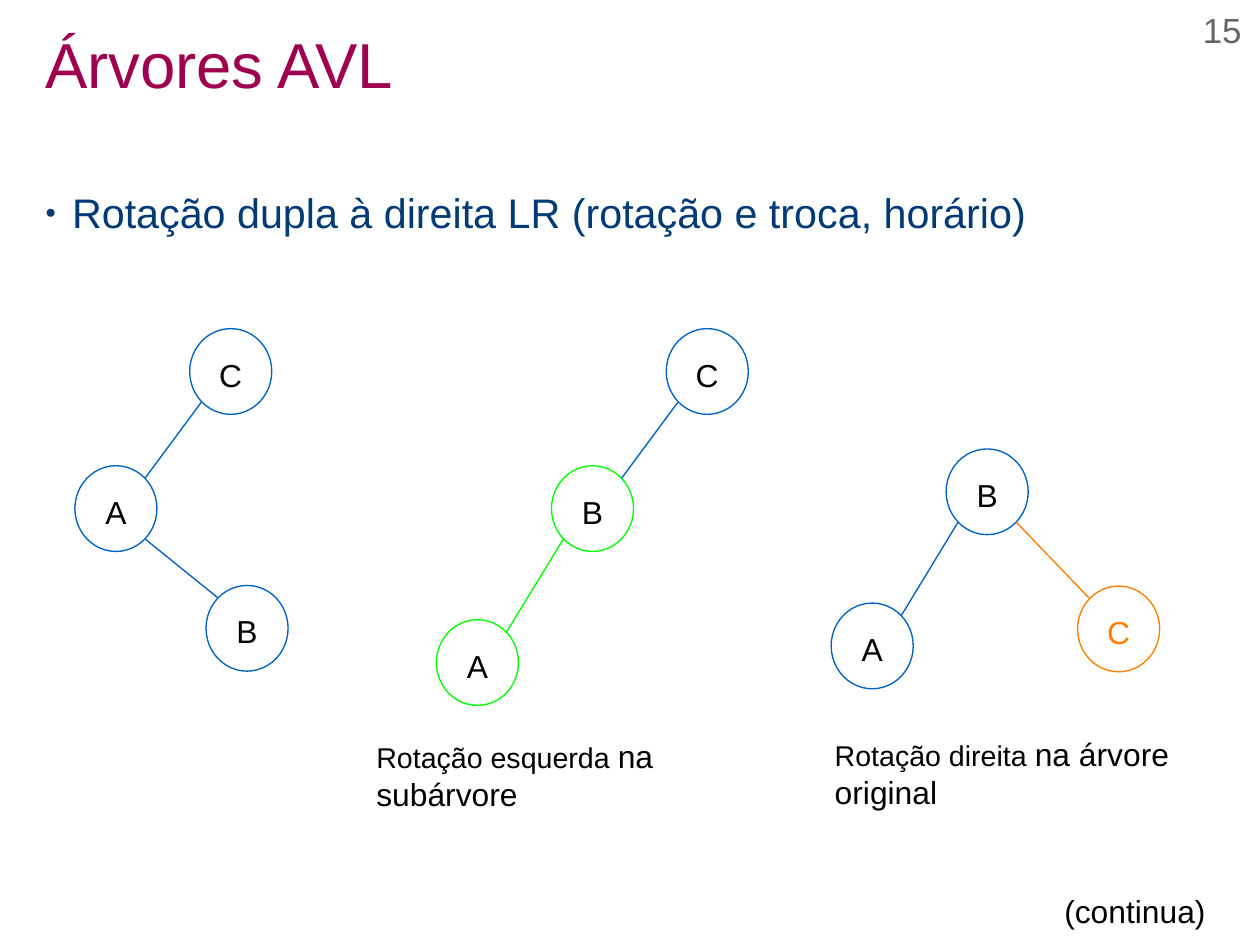
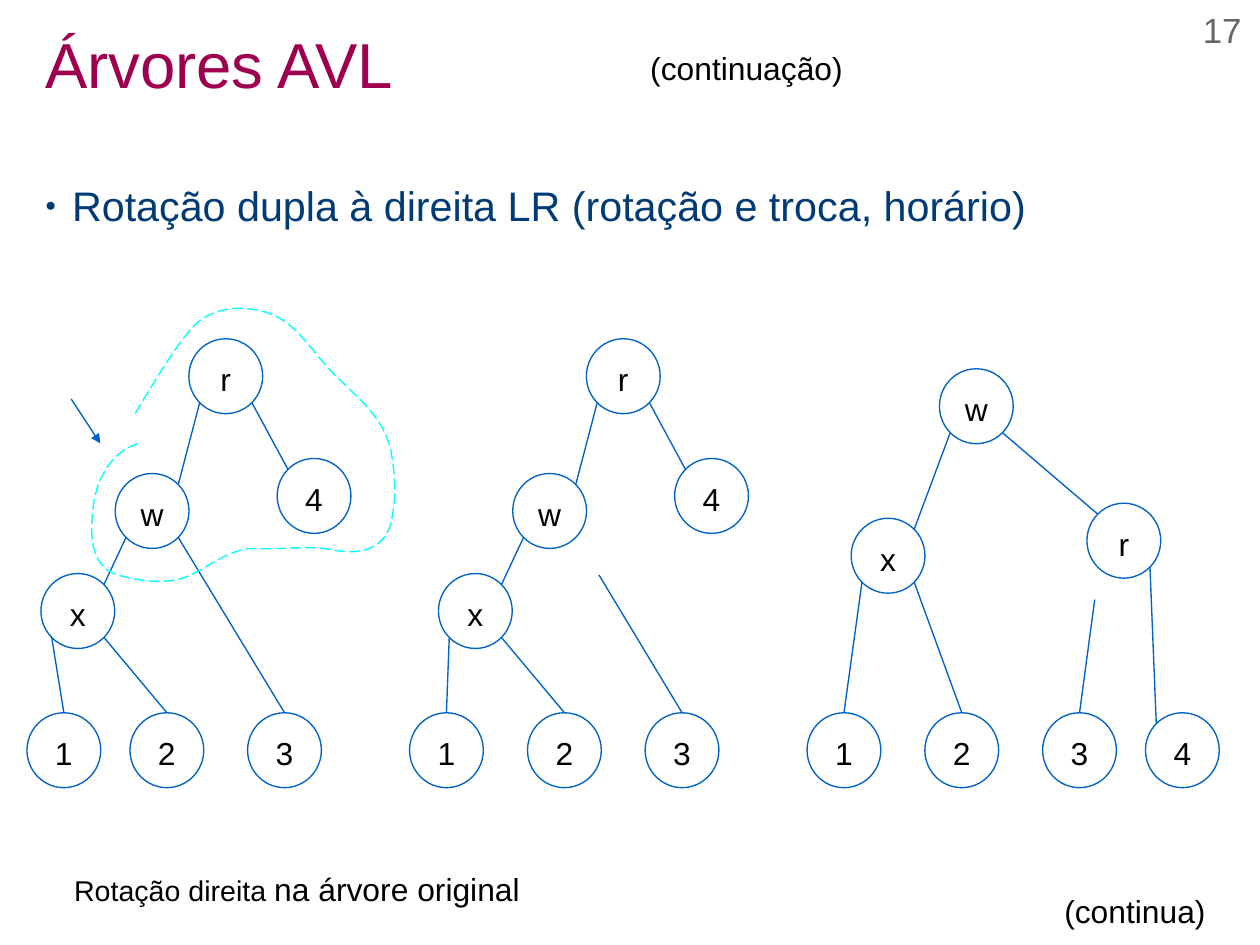
from lxml import etree
from pptx import Presentation
from pptx.dml.color import RGBColor
from pptx.enum.dml import MSO_LINE
from pptx.enum.shapes import MSO_CONNECTOR, MSO_SHAPE
from pptx.enum.text import MSO_ANCHOR, PP_ALIGN
from pptx.oxml.ns import qn
from pptx.util import Pt

STRAIGHT, OVAL = MSO_CONNECTOR.STRAIGHT, MSO_SHAPE.OVAL
LEFT, CENTER, RIGHT = PP_ALIGN.LEFT, PP_ALIGN.CENTER, PP_ALIGN.RIGHT
TOP, MIDDLE = MSO_ANCHOR.TOP, MSO_ANCHOR.MIDDLE

FONT = "Arial"
BLACK, GRAY, WINE, NAVY = "000000", "666666", "9E004F", "003B76"
BLUE, GREEN, ORANGE, CYAN = "0062C4", "00FF00", "FE7F00", "00FFFF"
LINE_WIDTH = 0.85
DIAGONAL = 0.146  # inset of the 45° points of an ellipse in its box
TITLE = "Árvores AVL"
TOPIC = "Rotação dupla à direita LR (rotação e troca, horário)"

# Trees: nodes are name -> (left, top); edges are (parent or point, child)
ROTATION_TREES = [
    dict(dx=0, edges=["CA", "AB"],
         nodes={"A": (47.2, 293.4), "C": (119.5, 207), "B": (129.8, 368.8)}),
    dict(dx=300.2, edges=["CB", "BA"], line={"B": GREEN, "A": GREEN, "BA": GREEN},
         nodes={"B": (47.2, 293.4), "C": (119.5, 207), "A": (-25.3, 390.4)}),
    dict(dx=0, edges=["BA", "BC"], line={"C": ORANGE, "BC": ORANGE}, text={"C": ORANGE},
         nodes={"B": (596, 282.8), "C": (678.8, 369.2), "A": (523.6, 379.9)}),
]

LEAF_TOP = 449
UPPER = {"r": (119, 213.4), "x": (25.8, 361.3), "4": (174.6, 288.8), "w": (72.6, 298.3)}
UPPER_EDGES = ["r4", "rw", "wx", "x1", "x2"]


def leaves(*lefts):
    return {str(i): (left, LEAF_TOP) for i, left in enumerate(lefts, 1)}


SUBTREE_TREES = [
    dict(dx=0, edges=UPPER_EDGES + ["w3"],
         nodes={**UPPER, **leaves(17, 81.9, 156)}),
    dict(dx=250.4, edges=UPPER_EDGES + [((126.9, 362.2), "3")],
         nodes={**UPPER, **leaves(7.6, 81.9, 156)}),
    dict(dx=0, edges=["r4", "wr", "x1", "x2", "wx", ((689.6, 377.7), "3")],
         nodes={"r": (684.7, 317), "x": (536.2, 326.5), "w": (591.8, 232.3),
                **leaves(508.4, 582.6, 656.8, 721.6)}),
]

# Dashed outline: start, cubic segments (two controls and an end), last point
OUTLINE_START = (87.1, 279.4)
OUTLINE_CURVES = [
    ((70.6, 284.4), (61.2, 301), (59, 317.5)),
    ((56.9, 333.4), (55.4, 356.4), (74.2, 362.2)),
    ((89.3, 366.5), (106.6, 368.6), (120.2, 362.2)),
    ((133.9, 355.7), (146.9, 344.2), (162.7, 345.6)),
    ((177.8, 346.3), (193.7, 343.4), (208.8, 346.3)),
    ((222.5, 349.2), (241.2, 348.5), (246.2, 329.8)),
    ((249.8, 314.6), (249.1, 298.8), (246.2, 283.7)),
    ((241.2, 262.1), (225.4, 250.6), (211.7, 236.9)),
    ((196.6, 222.5), (186.5, 201.6), (167, 196.6)),
    ((151.9, 192.2), (132.5, 193), (120.2, 207.4)),
    ((108.7, 221), (100.1, 236.2), (90.7, 251.3)),
]
OUTLINE_END = (84.2, 262.1)

# Captions: left, top, width, runs of (text, size)
ROTATE_LEFT = [("Rotação esquerda ", 18), ("na subárvore", 20)]
ROTATE_RIGHT = [("Rotação direita ", 18), ("na árvore original", 20)]
CONTINUES = (663.3, 558.2, 115, [("(continua)", 20)])

SLIDES = [
    dict(number="15", spacing=1.15, node=(51.7, 54), trees=ROTATION_TREES,
         captions=[(230, 460.5, 246, ROTATE_LEFT),
                   (518.7, 459, 259, ROTATE_RIGHT), CONTINUES]),
    dict(number="17", spacing=1, node=(46.5, 47.2), trees=SUBTREE_TREES,
         captions=[(39.6, 544.3, 315, ROTATE_RIGHT),
                   (402.5, 27.4, 145, [("(continuação)", 20)]), CONTINUES]),
]


def rgb(color):
    return RGBColor.from_string(color)


def write(tf, runs, color=BLACK, align=LEFT, spacing=1, anchor=TOP, insets=(7.2, 3.6)):
    tf.word_wrap = True
    tf.vertical_anchor = anchor
    tf.margin_left = tf.margin_right = Pt(insets[0])
    tf.margin_top = tf.margin_bottom = Pt(insets[1])
    p = tf.paragraphs[0]
    p.alignment, p.line_spacing = align, float(spacing)
    for text, size in runs:
        r = p.add_run()
        r.text = text
        r.font.name, r.font.size = FONT, Pt(size)
        r.font.color.rgb = rgb(color)
    return p


def add_text(s, left, top, width, height, runs, **style):
    sp = s.shapes.add_textbox(Pt(left), Pt(top), Pt(width), Pt(height))
    return write(sp.text_frame, runs, **style)


def add_bullet(p, color):
    pPr = p._p.get_or_add_pPr()
    pPr.set("marL", str(Pt(17)))
    pPr.set("indent", str(-Pt(17)))
    clr = etree.SubElement(pPr, qn("a:buClr"))
    etree.SubElement(clr, qn("a:srgbClr"), val=color)
    etree.SubElement(pPr, qn("a:buSzPct"), val="45000")
    etree.SubElement(pPr, qn("a:buFont"), typeface=FONT)
    etree.SubElement(pPr, qn("a:buChar"), char="●")


def style_line(line, color):
    line.color.rgb = rgb(color)
    line.width = Pt(LINE_WIDTH)


def add_line(s, start, end, color=BLUE, arrow=False):
    c = s.shapes.add_connector(STRAIGHT, *map(Pt, (*start, *end)))
    style_line(c.line, color)
    if arrow:
        etree.SubElement(c.line._get_or_add_ln(), qn("a:tailEnd"), type="triangle")
    etree.SubElement(c._element.spPr, qn("a:effectLst"))


def add_tree(s, tree, size):
    w, h = size
    line, ink = tree.get("line", {}), tree.get("text", {})
    nodes = {n: (x + tree["dx"], y) for n, (x, y) in tree["nodes"].items()}

    def port(name, fx, fy):
        x, y = nodes[name]
        return x + w * fx, y + h * fy

    for name, (x, y) in nodes.items():
        sp = s.shapes.add_shape(OVAL, Pt(x), Pt(y), Pt(w), Pt(h))
        sp.shadow.inherit = False
        sp.fill.background()
        style_line(sp.line, line.get(name, BLUE))
        write(sp.text_frame, [(name, 20)], ink.get(name, BLACK), CENTER, 1.15, MIDDLE)

    for edge in tree["edges"]:
        parent, child = edge
        if parent in nodes:
            to_left = nodes[child][0] < nodes[parent][0]
            near, far = (DIAGONAL, 1 - DIAGONAL) if to_left else (1 - DIAGONAL, DIAGONAL)
            start = port(parent, near, 1 - DIAGONAL)
        else:
            start = parent[0] + tree["dx"], parent[1]
        # Leaves 1 to 3 hang from their top point
        end = port(child, 0.5, 0) if child in "123" else port(child, far, DIAGONAL)
        add_line(s, start, end, line.get(edge, BLUE))


def add_outline(s):
    points = [point for curve in OUTLINE_CURVES for point in curve] + [OUTLINE_END]
    fb = s.shapes.build_freeform(*map(Pt, OUTLINE_START))
    fb.add_line_segments([tuple(map(Pt, point)) for point in points], close=False)
    sp = fb.convert_to_shape()
    # Turn each three segments into one cubic curve; the last stays straight
    segments = list(sp._element.iter(qn("a:lnTo")))
    for i in range(0, 3 * len(OUTLINE_CURVES), 3):
        curve = etree.Element(qn("a:cubicBezTo"))
        segments[i].addprevious(curve)
        for segment in segments[i:i + 3]:
            curve.append(segment[0])
            segment.getparent().remove(segment)
    sp.shadow.inherit = False
    sp.fill.background()
    style_line(sp.line, CYAN)
    sp.line.dash_style = MSO_LINE.LONG_DASH


def add_slide(prs, data):
    s = prs.slides.add_slide(prs.slide_layouts[6])
    # Title, topic and page number
    add_text(s, 28.5, 14.4, 737, 57, [(TITLE, 40)], color=WINE, spacing=0.9,
             anchor=MIDDLE, insets=(0, 0))
    p = add_text(s, 28.4, 113.4, 737, 468, [(TOPIC, 26)], color=NAVY,
                 spacing=data["spacing"], insets=(0, 0))
    add_bullet(p, NAVY)
    add_text(s, 585.6, 5.7, 196.5, 33, [(data["number"], 22)], color=GRAY,
             align=RIGHT, insets=(0, 0))
    # Trees and captions
    for tree in data["trees"]:
        add_tree(s, tree, data["node"])
    for left, top, width, runs in data["captions"]:
        add_text(s, left, top, width, 30, runs)
    return s


def main():
    prs = Presentation()
    prs.slide_width, prs.slide_height = Pt(793.7), Pt(595.3)
    s = [add_slide(prs, data) for data in SLIDES][-1]
    # Marked subtree on the last slide
    add_line(s, (44.8, 251.3), (63.2, 279.3), arrow=True)
    add_outline(s)
    prs.save("out.pptx")


if __name__ == "__main__":
    main()
